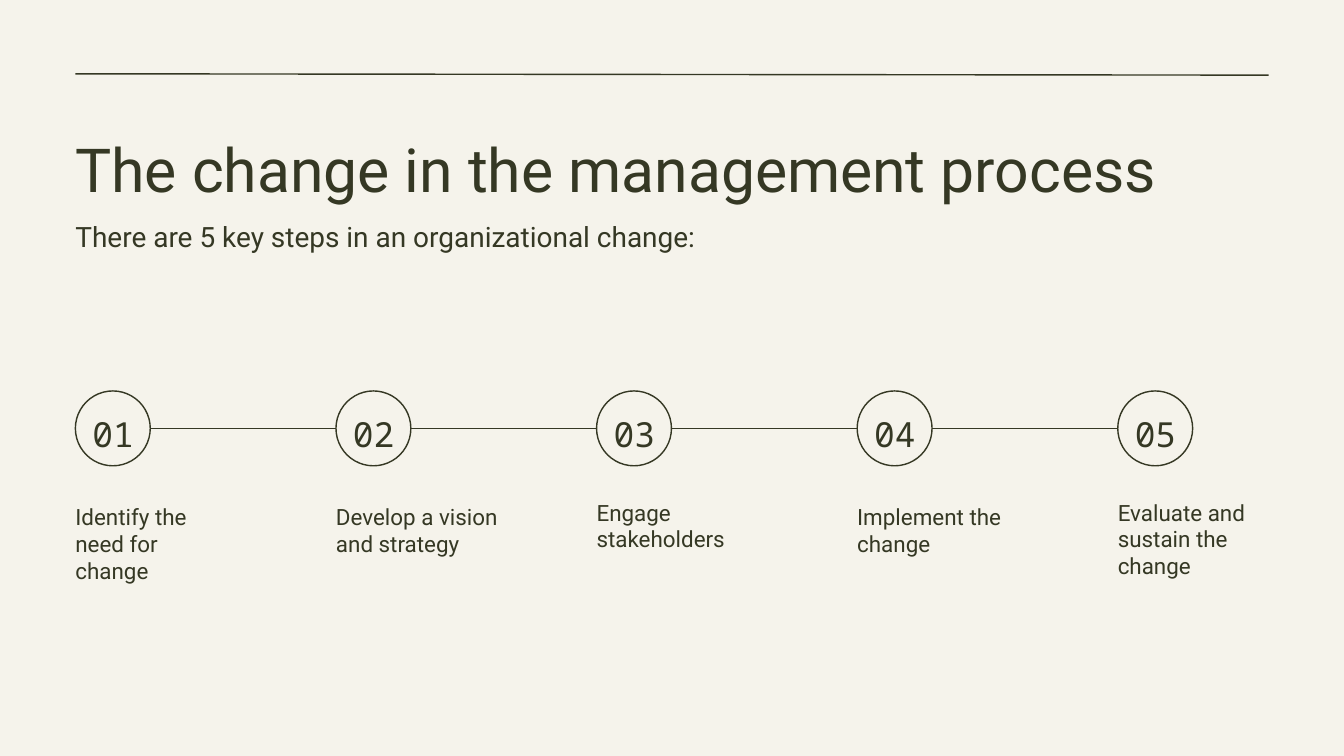
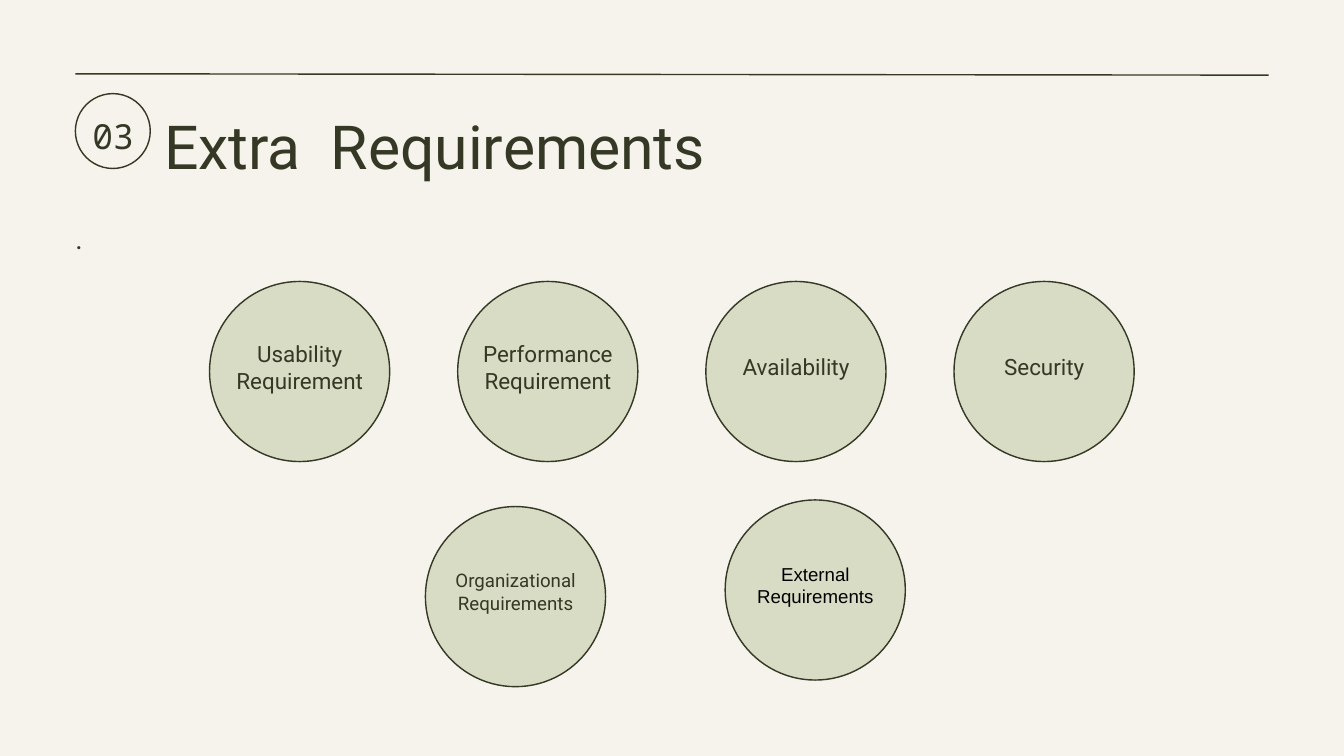
from pptx import Presentation
from pptx.dml.color import RGBColor
from pptx.enum.shapes import MSO_CONNECTOR, MSO_SHAPE
from pptx.enum.text import MSO_ANCHOR, MSO_AUTO_SIZE, PP_ALIGN
from pptx.oxml.ns import qn
from pptx.util import Cm, Pt
from lxml import etree

STRAIGHT = MSO_CONNECTOR.STRAIGHT
OVAL = MSO_SHAPE.OVAL
TOP, MIDDLE = MSO_ANCHOR.TOP, MSO_ANCHOR.MIDDLE
LEFT, CENTER = PP_ALIGN.LEFT, PP_ALIGN.CENTER
GROW, FIXED = MSO_AUTO_SIZE.SHAPE_TO_FIT_TEXT, MSO_AUTO_SIZE.NONE

# Content
PROCESS_TITLE = "The change in the management process"
PROCESS_INTRO = "There are 5 key steps in an organizational change:"
# text, top, width, height
STEPS = [
    ("Identify the need for change", 19.02, 5.77, 3.07),
    ("Develop a vision and strategy", 19.02, 6.12, 3.07),
    ("Engage stakeholders", 18.85, 6.12, 2.06),
    ("Implement the change", 19.02, 6.12, 2.06),
    ("Evaluate and sustain the change", 18.85, 5.71, 3.07),
]
REQUIREMENTS_TITLE = "Extra  Requirements"
REQUIREMENTS_INTRO = "."
SECTION_NUMBER = 3
MAIN_REQUIREMENTS = ["Usability Requirement", "Performance Requirement",
                     "Availability", "Security"]

# Shared look
PAPER = RGBColor(0xF5, 0xF3, 0xEB)
INK = RGBColor(0x35, 0x38, 0x24)
SAGE = RGBColor(0xD8, 0xDC, 0xC4)
BLACK = RGBColor(0, 0, 0)
BODY_FONT, NUMBER_FONT, PLAIN_FONT = "Roboto", "Noto Sans Mono", "Arial"

# left, top, text lines, font, colour
LOWER_REQUIREMENTS = [
    (16.08, 19.15, ["Organizational Requirements"], BODY_FONT, INK),
    (27.41, 18.9, ["External", "Requirements"], PLAIN_FONT, BLACK),
]

# Measures in centimetres
PAGE_WIDTH, PAGE_HEIGHT = 50.8, 28.58
MARGIN = 2.85
CONTENT_WIDTH = PAGE_WIDTH - 2 * MARGIN
BADGE = 2.83
STEP_TOP, STEP_PITCH = 14.78, 9.85
BUBBLE = 6.81
BUBBLE_LEFT, BUBBLE_TOP, BUBBLE_PITCH = 7.92, 10.64, 9.38


def add_line(page, x1, y1, x2, y2):
    line = page.shapes.add_connector(STRAIGHT, Cm(x1), Cm(y1), Cm(x2), Cm(y2))
    line.line.color.rgb = INK
    line.line.width = Pt(1.5)
    etree.SubElement(line._element.spPr, qn("a:effectLst"))


def add_circle(page, left, top, size, fill=None):
    circle = page.shapes.add_shape(OVAL, Cm(left), Cm(top), Cm(size), Cm(size))
    circle.shadow.inherit = False
    if fill is None:
        circle.fill.background()
    else:
        circle.fill.solid()
        circle.fill.fore_color.rgb = fill
    circle.line.color.rgb = INK
    circle.line.width = Pt(1.5)


def add_text(page, lines, left, top, width, height, size, font=BODY_FONT,
             color=INK, align=LEFT, anchor=TOP, spacing=None, inset=0,
             fit=GROW):
    box = page.shapes.add_textbox(Cm(left), Cm(top), Cm(width), Cm(height))
    frame = box.text_frame
    frame.word_wrap = True
    frame.auto_size = fit
    frame.vertical_anchor = anchor
    frame.margin_left = frame.margin_right = Cm(inset)
    frame.margin_top = frame.margin_bottom = Cm(inset)
    for index, line in enumerate(lines):
        para = frame.add_paragraph() if index else frame.paragraphs[0]
        para.alignment = align
        if spacing:
            para.line_spacing = spacing
        span = para.add_run()
        span.text = line
        span.font.size = Pt(size)
        span.font.name = font
        span.font.color.rgb = color


def add_title(page, text, left, top):
    width = PAGE_WIDTH - MARGIN - left
    add_text(page, [text], left, top, width, 3.33, 65, spacing=1.2)


def add_intro(page, text, top, height):
    add_text(page, [text], MARGIN, top, CONTENT_WIDTH, height, 30, spacing=1.4)


def add_badge(page, number, left, top):
    add_circle(page, left, top, BADGE)
    add_text(page, [f"{number:02}"], left + 0.27, top + 0.03, 2.31, 2.51, 37,
             NUMBER_FONT, align=CENTER, anchor=MIDDLE, spacing=1.4, fit=FIXED)


def add_bubble(page, lines, left, top, size, font=BODY_FONT, color=INK):
    add_circle(page, left, top, BUBBLE, SAGE)
    add_text(page, lines, left + 0.64, top + 0.25, 5.54, 5.94, size, font,
             color, CENTER, MIDDLE, inset=0.15, fit=FIXED)


def add_page(deck):
    page = deck.slides.add_slide(deck.slide_layouts[6])
    page.background.fill.solid()
    page.background.fill.fore_color.rgb = PAPER
    add_line(page, MARGIN, 2.79, PAGE_WIDTH - MARGIN, 2.84)
    return page


def build_process(deck):
    page = add_page(deck)
    add_title(page, PROCESS_TITLE, MARGIN, 4.42)
    add_intro(page, PROCESS_INTRO, 7.8, 1.42)
    middle = STEP_TOP + BADGE / 2
    for index, (text, top, width, height) in enumerate(STEPS):
        left = MARGIN + index * STEP_PITCH
        if index:
            add_line(page, left - STEP_PITCH + BADGE, middle, left, middle)
        add_badge(page, index + 1, left, STEP_TOP)
        add_text(page, [text], left, top, width, height, 24)


def build_requirements(deck):
    page = add_page(deck)
    add_badge(page, SECTION_NUMBER, MARGIN, 3.54)
    add_title(page, REQUIREMENTS_TITLE, 6.2, 3.58)
    add_intro(page, REQUIREMENTS_INTRO, 7.85, 1.8)
    for index, text in enumerate(MAIN_REQUIREMENTS):
        left = BUBBLE_LEFT + index * BUBBLE_PITCH
        add_bubble(page, [text], left, BUBBLE_TOP, 24)
    for left, top, lines, font, color in LOWER_REQUIREMENTS:
        add_bubble(page, lines, left, top, 20, font, color)


def main():
    deck = Presentation()
    deck.slide_width, deck.slide_height = Cm(PAGE_WIDTH), Cm(PAGE_HEIGHT)
    build_process(deck)
    build_requirements(deck)
    deck.save("out.pptx")


if __name__ == "__main__":
    main()
